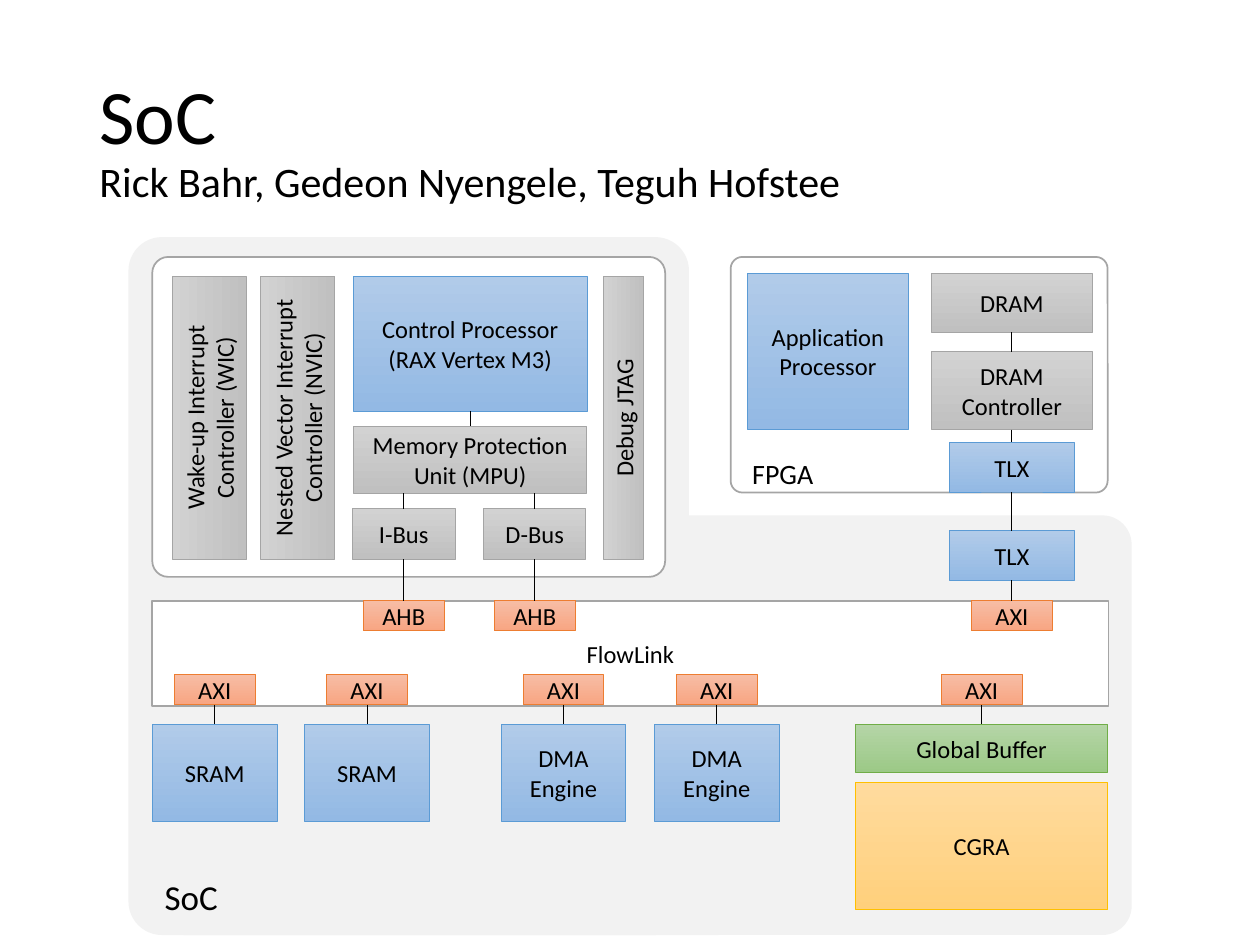
"""Build the SoC block diagram slide."""
from lxml import etree
from pptx import Presentation
from pptx import util as u
from pptx.dml.color import RGBColor
from pptx.enum import shapes, text
from pptx.oxml import ns

BLACK = RGBColor(0x00, 0x00, 0x00)
WHITE = RGBColor(0xFF, 0xFF, 0xFF)
PALE = RGBColor(0xF2, 0xF2, 0xF2)
GREY = RGBColor(0xA5, 0xA5, 0xA5)
STYLES = {
    "blue": (RGBColor(0xB1, 0xCB, 0xE9), RGBColor(0x93, 0xB9, 0xE4), RGBColor(0x5B, 0x9B, 0xD5)),
    "grey": (RGBColor(0xD2, 0xD2, 0xD2), RGBColor(0xC0, 0xC0, 0xC0), GREY),
    "orange": (RGBColor(0xF7, 0xBD, 0xA5), RGBColor(0xF8, 0xA5, 0x82), RGBColor(0xED, 0x7D, 0x31)),
    "green": (RGBColor(0xB5, 0xD5, 0xA7), RGBColor(0x9C, 0xC9, 0x87), RGBColor(0x70, 0xAD, 0x47)),
    "yellow": (RGBColor(0xFF, 0xDB, 0x9E), RGBColor(0xFF, 0xD0, 0x7C), RGBColor(0xFF, 0xC0, 0x00)),
}

TITLE_LINES = [("SoC", 44), ("Rick Bahr, Gedeon Nyengele, Teguh Hofstee", 24)]

# Boxes are (centre x, top, width, height) in centimetres.
PANELS = [
    ("", (8.24, 4.78, 11.3, 14.07), PALE, None, 0.06),
    ("", (12.97, 10.39, 19.69, 8.46), PALE, None, 0.07),
    ("FlowLink", (12.71, 12.12, 19.28, 2.11), WHITE, GREY, 0),
    ("", (8.24, 5.18, 10.34, 6.45), WHITE, GREY, 0.05),
    ("", (18.53, 5.18, 7.6, 4.75), WHITE, GREY, 0.05),
]
I_BUS, D_BUS, CONTROL, DRAM = 8.14, 10.78, 9.48, 20.4
BLOCKS = [
    ("Control Processor\n(RAX Vertex M3)", "blue", (CONTROL, 5.57, 4.72, 2.72)),
    ("Memory Protection Unit (MPU)", "grey", (CONTROL, 8.59, 4.7, 1.35)),
    ("I-Bus", "grey", (I_BUS, 10.26, 2.08, 1.01)),
    ("D-Bus", "grey", (D_BUS, 10.26, 2.06, 1.01)),
    ("Application Processor", "blue", (16.69, 5.51, 3.25, 3.15)),
    ("DRAM", "grey", (DRAM, 5.51, 3.25, 1.19)),
    ("DRAM Controller", "grey", (DRAM, 7.09, 3.25, 1.57)),
    ("TLX", "blue", (DRAM, 8.92, 2.52, 1)),
    ("TLX", "blue", (DRAM, 10.7, 2.52, 1)),
    ("CGRA", "yellow", (19.79, 15.77, 5.08, 2.57)),
]
UPRIGHT_TOP, UPRIGHT_HEIGHT = 5.57, 5.7
UPRIGHT_BLOCKS = [
    ("Wake-up Interrupt Controller (WIC)", 4.22, 1.5),
    ("Nested Vector Interrupt Controller (NVIC)", 6, 1.5),
    ("Debug JTAG", 12.57, 0.82),
]
UPPER_PORTS = [("AHB", I_BUS), ("AHB", D_BUS), ("AXI", DRAM)]
LOWER_BLOCKS = [
    ("SRAM", "blue", 4.33, 2.52, 1.96),
    ("SRAM", "blue", 7.4, 2.52, 1.96),
    ("DMA Engine", "blue", 11.36, 2.52, 1.96),
    ("DMA Engine", "blue", 14.45, 2.52, 1.96),
    ("Global Buffer", "green", 19.79, 5.08, 0.97),
]
PORT_WIDTH, PORT_HEIGHT, UPPER_PORT_TOP, LOWER_PORT_TOP, LOWER_TOP = 1.63, 0.61, 12.11, 13.6, 14.6
LINKS = [
    (CONTROL, 8.29, 8.59), (I_BUS, 9.94, 10.26), (D_BUS, 9.94, 10.26),
    (I_BUS, 11.27, UPPER_PORT_TOP), (D_BUS, 11.27, UPPER_PORT_TOP),
    (DRAM, 6.7, 7.09), (DRAM, 8.66, 8.92), (DRAM, 9.92, 10.7), (DRAM, 11.7, UPPER_PORT_TOP),
]
CAPTIONS = [("FPGA", 16, (15.79, 9.07, 1.75, 0.94)), ("SoC", 20, (3.87, 17.53, 1.6, 1.12))]


def write_text(frame, content, size=14, align=text.PP_ALIGN.CENTER):
    for index, line in enumerate(content.split("\n")):
        paragraph = frame.add_paragraph() if index else frame.paragraphs[0]
        paragraph.alignment = align
        add_run(paragraph, line, size=size)


def add_run(paragraph, content, size):
    run = paragraph.add_run()
    run.text = content
    run.font.size = u.Pt(size)
    run.font.name = "Calibri"
    run.font.color.rgb = BLACK


def place(box):
    centre, top, width, height = box
    return [u.Cm(value) for value in (centre - width / 2, top, width, height)]


def add_box(slide, content, box, outline, line_width, corner=0):
    preset = shapes.MSO_SHAPE.ROUNDED_RECTANGLE if corner else shapes.MSO_SHAPE.RECTANGLE
    shape = slide.shapes.add_shape(preset, *place(box))
    shape.shadow.inherit = False
    if corner:
        shape.adjustments[0] = corner
    if outline is None:
        shape.line.fill.background()
    else:
        shape.line.color.rgb = outline
        shape.line.width = u.Pt(line_width)
    if content:
        shape.text_frame.word_wrap = True
        shape.text_frame.vertical_anchor = text.MSO_ANCHOR.MIDDLE
        write_text(shape.text_frame, content)
    return shape


def add_panel(slide, content, box, fill, outline, corner):
    shape = add_box(slide, content, box, outline, 1, corner)
    shape.fill.solid()
    shape.fill.fore_color.rgb = fill


def add_block(slide, content, style, box):
    light, dark, outline = STYLES[style]
    shape = add_box(slide, content, box, outline, 0.5)
    shape.fill.gradient()
    shape.fill.gradient_angle = 270
    for stop, color in zip(shape.fill.gradient_stops, (light, dark)):
        stop.color.rgb = color
    return shape


def add_upright_block(slide, content, centre, width):
    middle = UPRIGHT_TOP + UPRIGHT_HEIGHT / 2
    shape = add_block(slide, content, "grey", (centre, middle - width / 2, UPRIGHT_HEIGHT, width))
    shape.rotation = 270


def add_port(slide, content, centre, top):
    add_block(slide, content, "orange", (centre, top, PORT_WIDTH, PORT_HEIGHT))


def add_link(slide, centre, top, bottom):
    ends = [u.Cm(value) for value in (centre, top, centre, bottom)]
    link = slide.shapes.add_connector(shapes.MSO_CONNECTOR.STRAIGHT, *ends)
    link.line.color.rgb = BLACK
    link.line.width = u.Pt(0.5)
    etree.SubElement(link._element.spPr, ns.qn("a:effectLst"))


def add_title(slide):
    title = slide.shapes.title
    title.left, title.top, title.width, title.height = place((12.7, 1.02, 21.9, 3.68))
    frame = title.text_frame
    frame.auto_size = text.MSO_AUTO_SIZE.NONE
    frame.vertical_anchor = text.MSO_ANCHOR.MIDDLE
    paragraph = frame.paragraphs[0]
    paragraph.alignment = text.PP_ALIGN.LEFT
    paragraph.line_spacing = 0.9
    for index, (content, size) in enumerate(TITLE_LINES):
        if index:
            paragraph.add_line_break()
        add_run(paragraph, content, size=size)


def main():
    presentation = Presentation()
    presentation.slide_width, presentation.slide_height = u.Cm(25.4), u.Cm(19.05)
    slide = presentation.slides.add_slide(presentation.slide_layouts[5])
    add_title(slide)
    for panel in PANELS:
        add_panel(slide, *panel)
    for block in BLOCKS:
        add_block(slide, *block)
    for block in UPRIGHT_BLOCKS:
        add_upright_block(slide, *block)
    for content, centre in UPPER_PORTS:
        add_port(slide, content, centre, UPPER_PORT_TOP)
    for content, style, centre, width, height in LOWER_BLOCKS:
        add_block(slide, content, style, (centre, LOWER_TOP, width, height))
        add_port(slide, "AXI", centre, LOWER_PORT_TOP)
        add_link(slide, centre, LOWER_PORT_TOP + PORT_HEIGHT, LOWER_TOP)
    for link in LINKS:
        add_link(slide, *link)
    for content, size, box in CAPTIONS:
        frame = slide.shapes.add_textbox(*place(box)).text_frame
        frame.word_wrap = False
        write_text(frame, content, size=size, align=text.PP_ALIGN.LEFT)
    presentation.save("out.pptx")


if __name__ == "__main__":
    main()
